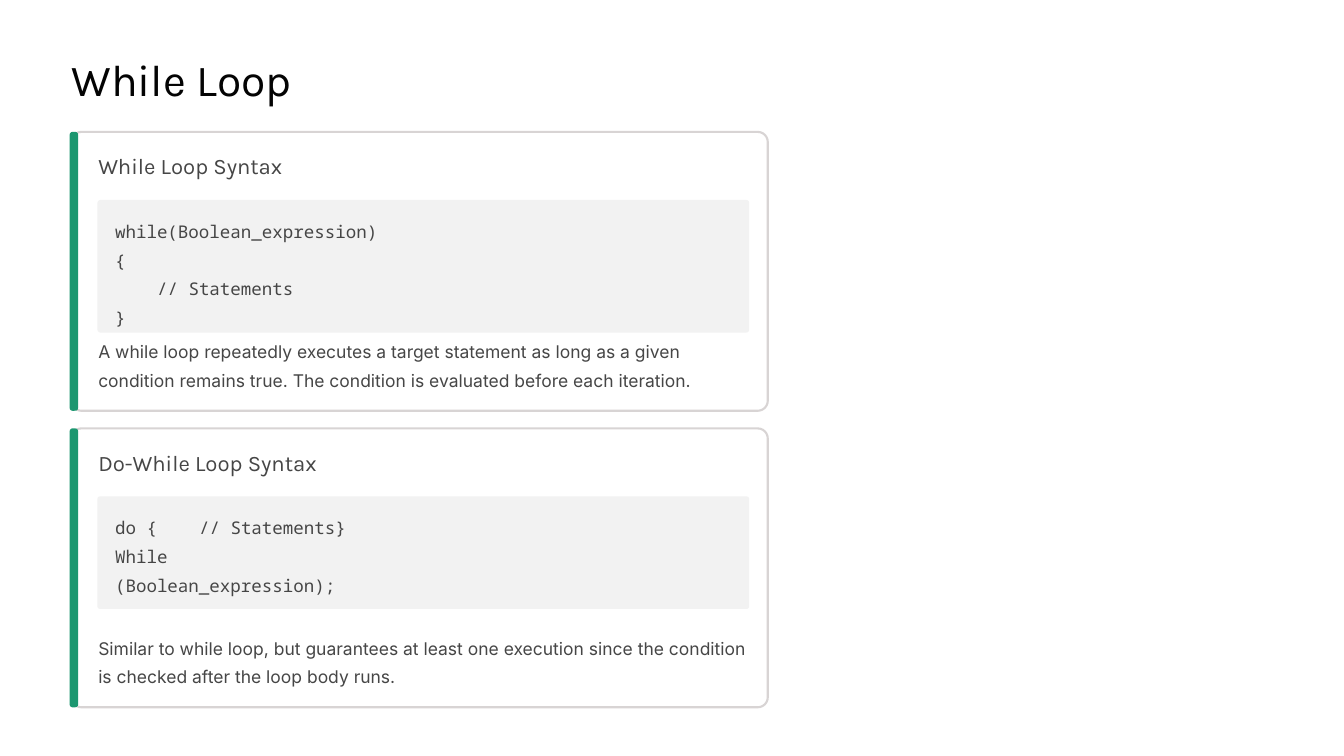
import pptx
import pptx.dml.color
import pptx.enum.shapes
import pptx.enum.text
import pptx.oxml
import pptx.oxml.ns
import pptx.util
from pptx.util import Inches

RGBColor = pptx.dml.color.RGBColor
BLACK = RGBColor(0x03, 0x03, 0x03)
GRAY = RGBColor(0x46, 0x46, 0x46)
WHITE = RGBColor(0xFF, 0xFF, 0xFF)
EDGE = RGBColor(0xD8, 0xD4, 0xD4)
GREEN = RGBColor(0x1C, 0x97, 0x70)
PALE = RGBColor(0xF2, 0xF2, 0xF2)

HEAD, BODY, CODE = "Karla", "Inter", "Noto Sans Mono"
STEP = 0.5


class Deck:
    """Holds the style and the current slide, and draws its elements."""

    def __init__(self):
        self.prs = pptx.Presentation()
        self.prs.slide_width = Inches(16)
        self.prs.slide_height = Inches(9)
        self.slide = self.prs.slides.add_slide(self.prs.slide_layouts[6])
        fill = self.slide.background.fill
        fill.solid()
        fill.fore_color.rgb = WHITE

    def box(self, left, top, width, height, fill, adj, line=None):
        kind = pptx.enum.shapes.MSO_SHAPE.ROUNDED_RECTANGLE
        shape = self.slide.shapes.add_shape(
            kind, Inches(left), Inches(top), Inches(width), Inches(height))
        shape.adjustments[0] = adj
        shape.shadow.inherit = False
        shape.fill.solid()
        shape.fill.fore_color.rgb = fill
        if line is None:
            shape.line.fill.background()
        else:
            shape.line.color.rgb = line
            shape.line.width = pptx.util.Pt(1.8)

    def text(self, text, left, top, width, height, *, font=BODY, size=15,
             color=GRAY, lead=24.5, wrap=True, dent=(), tab=None):
        shape = self.slide.shapes.add_textbox(
            Inches(left), Inches(top), Inches(width), Inches(height))
        frame = shape.text_frame
        frame.word_wrap = wrap
        frame.margin_left = frame.margin_right = 0
        frame.margin_top = frame.margin_bottom = 0
        frame.vertical_anchor = pptx.enum.text.MSO_ANCHOR.TOP
        for num, line in enumerate(text.split("\n")):
            para = frame.add_paragraph() if num else frame.paragraphs[0]
            para.line_spacing = pptx.util.Pt(lead)
            run = para.add_run()
            run.text = line
            run.font.name = font
            run.font.size = pptx.util.Pt(size)
            run.font.color.rgb = color
            props = para._p.get_or_add_pPr()
            if num in dent:
                props.set("marL", str(Inches(STEP)))
                props.set("indent", "0")
            if tab:
                props.append(pptx.oxml.parse_xml(
                    f'<a:tabLst {pptx.oxml.ns.nsdecls("a")}>'
                    f'<a:tab pos="{Inches(tab)}" algn="l"/></a:tabLst>'))

    def card(self, top, title, width, code, deep, note, **form):
        self.box(0.85, top, 8.29, 3.32, WHITE, 0.036, EDGE)
        self.box(0.83, top, 0.1, 3.32, GREEN, 0.32)
        self.text(title, 1.17, top + 0.24, width, 0.33,
                  font=HEAD, size=19, lead=23.5, wrap=False)
        self.box(1.16, top + 0.81, 7.76, deep, PALE, 0.024)
        self.text(code, 1.37, top + 0.97, 7.34, 1.02, font=CODE, **form)
        self.text(note, 1.17, top + 2.4, 7.74, 0.68)


def main():
    deck = Deck()
    deck.text("While Loop", 0.85, 0.59, 5.33, 0.67, font=HEAD, size=38,
              color=BLACK, lead=47.5, wrap=False)
    deck.card(
        1.57, "While Loop Syntax", 2.67,
        "while(Boolean_expression)\n{\n// Statements\n}", 1.58,
        "A while loop repeatedly executes a target statement as long as a "
        "given condition remains true. The condition is evaluated before "
        "each iteration.", dent=(2,))
    deck.card(
        5.1, "Do-While Loop Syntax", 2.87,
        "do {\t// Statements}\nWhile\n(Boolean_expression);", 1.34,
        "Similar to while loop, but guarantees at least one execution since "
        "the condition is checked after the loop body runs.", tab=2 * STEP)
    deck.prs.save("out.pptx")


if __name__ == "__main__":
    main()
